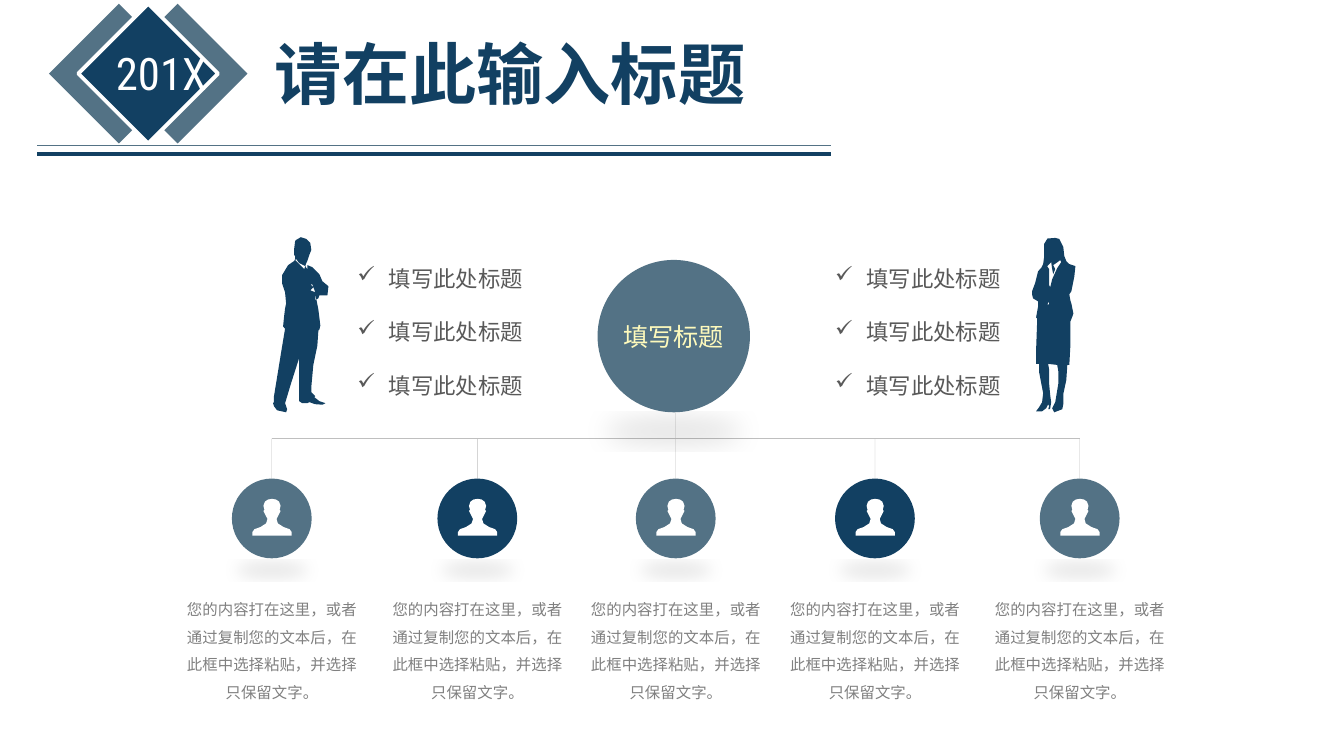
from dataclasses import dataclass

from lxml.etree import SubElement
from pptx import Presentation
from pptx.dml.color import RGBColor as RGB
from pptx.enum.shapes import MSO_CONNECTOR as CONN, MSO_SHAPE as SHAPE
from pptx.enum.text import MSO_ANCHOR as ANCHOR, MSO_AUTO_SIZE as FIT, PP_ALIGN as ALIGN
from pptx.oxml.ns import qn
from pptx.util import Cm, Pt


@dataclass(frozen=True)
class Theme:
    """Colours, fonts and type sizes of the slide."""
    navy: str = "124062"
    slate: str = "537285"
    white: str = "FFFFFF"
    cream: str = "FEFABC"
    rule: str = "BFBFBF"
    item: str = "595959"
    body: str = "808080"
    font: str = "Roboto Condensed"
    title_font: str = "Montserrat"
    title_size: int = 48
    year_size: int = 32
    hub_size: int = 18
    item_size: int = 16
    body_size: int = 11


T = Theme()
UNIT = 0.0254
BUS_Y = 11.05
CIRCLE_TOP = 12.06
CIRCLE_SIZE = 2.01
HUB_BOTTOM = 10.39
CENTRES = [6.85, 12.03, 17.03, 22.05, 27.21]
BODY = "您的内容打在这里，或者通过复制您的文本后，在此框中选择粘贴，并选择只保留文字。"

PERSON = [[
    (31, 28), (25.3, 24.4), (24, 20), (26, 16), (28, 12), (27, 11), (28, 7),
    (26.5, 2.8), (23.5, 0.7), (19.5, 0), (15.5, 0.7), (12.4, 2.8), (11, 7),
    (12, 11), (11, 12), (13, 16), (15, 20), (13.6, 24.4), (8, 28), (2.1, 30.1),
    (0, 33), (0, 36.5), (39, 36.5), (39, 33), (36.9, 30.1)]]

MAN = [
    [(55, 51), (49, 46), (46, 39), (39, 32), (34, 30), (34, 34), (32, 31),
     (31, 34), (22, 25), (23, 24), (26, 28), (32, 31), (33, 28), (34, 26),
     (36, 20), (38, 15), (37, 8), (33, 4), (27.6, 2.3), (23, 5), (22, 6),
     (21, 14), (21, 20), (22, 21), (22, 24), (21, 26), (15, 30), (9, 40),
     (9, 48), (12, 57), (13, 68), (12, 73), (11, 81), (10, 91), (12, 93),
     (8, 117), (1, 160), (1, 166), (0, 167), (1, 170), (4, 174), (13, 176),
     (14, 173), (12, 167), (18, 147), (26, 122), (26, 165), (29, 167),
     (34, 167), (36, 166), (42, 168), (49, 168.5), (52, 167), (46, 165),
     (41, 161), (42, 160), (38, 156), (38, 151), (40, 129), (44, 110),
     (45, 95), (46, 94), (47, 90), (45, 74), (43, 64), (45, 63), (46, 60),
     (54, 60)],
    [(37, 55), (40, 52), (37, 49), (39, 49), (42, 57)],
    [(42, 65), (42, 58), (43, 64)]]

WOMAN = [
    [(39, 56), (42, 41), (43, 31), (37, 29), (34, 26), (32, 21), (31, 12),
     (27, 4), (23, 3), (15.3, 3.6), (12, 9), (12, 22), (11, 29), (9, 33),
     (6, 36), (3, 48), (0, 56), (0, 59), (1, 63), (6, 66), (6, 71), (4, 82),
     (5, 83), (5, 88), (4, 115), (4, 128), (7, 128), (7, 136), (11, 157),
     (10, 166), (7, 171), (4, 175), (10, 175), (14, 172), (16, 168),
     (17, 170), (16, 173), (18, 173), (18, 172), (19, 166), (18, 159),
     (17, 148), (17, 134), (16, 128), (25, 129), (26, 135), (26, 148),
     (24, 160), (23, 166), (20, 172), (22, 176), (30, 173), (31, 168),
     (31, 158), (34, 144), (35, 129), (37, 129), (38, 110), (38, 86),
     (40, 81), (41, 78), (39, 68), (38, 65), (37, 59)],
    [(15, 69), (17, 66), (17, 69)],
    [(25, 33), (20, 44), (18, 52), (17, 50), (17, 34), (15, 31), (19, 27),
     (20, 34), (21, 39), (23, 34), (21, 30), (24, 28), (28, 25), (29, 27)]]


def write(tf, text, *, size, color, font=T.font, bold=None, align=None, spacing=None, bullet=None):
    """Write each line of text as a formatted paragraph."""
    for i, line in enumerate(text.split("\n")):
        p = tf.add_paragraph() if i else tf.paragraphs[0]
        p.alignment, p.line_spacing = align, spacing
        r = p.add_run()
        r.text = line
        r.font.size, r.font.name, r.font.bold = Pt(size), font, bold
        r.font.color.rgb = RGB.from_string(color)
        if bullet:
            pPr = p._p.get_or_add_pPr()
            pPr.set("marL", str(Cm(0.79)))
            pPr.set("indent", str(-Cm(0.79)))
            SubElement(pPr, qn("a:buChar")).set("char", bullet)


def add_text(s, x, y, w, h, text, wrap=False, **fmt):
    """Add a text box that grows with its text."""
    tf = s.shapes.add_textbox(Cm(x), Cm(y), Cm(w), Cm(h)).text_frame
    tf.word_wrap = wrap
    tf.auto_size = FIT.SHAPE_TO_FIT_TEXT
    write(tf, text, **fmt)


def paint(sp, fill):
    """Give a shape a flat fill with no line or shadow."""
    sp.shadow.inherit = False
    sp.fill.solid()
    sp.fill.fore_color.rgb = RGB.from_string(fill)
    sp.line.fill.background()


def add_line(s, x1, y1, x2, y2, color, width):
    """Add a straight line without a shadow."""
    ln = s.shapes.add_connector(CONN.STRAIGHT, Cm(x1), Cm(y1), Cm(x2), Cm(y2))
    ln.line.color.rgb = RGB.from_string(color)
    ln.line.width = Pt(width)
    SubElement(ln._element.spPr, qn("a:effectLst"))
    return ln


def add_diamond(s, x, fill, outline=None):
    """Add one of the badge's turned squares."""
    sp = s.shapes.add_shape(SHAPE.ROUNDED_RECTANGLE, Cm(x), Cm(0.61), Cm(2.49), Cm(2.49))
    sp.adjustments[0] = 0
    sp.rotation = 45
    paint(sp, fill)
    if outline:
        sp.line.color.rgb = RGB.from_string(outline)
        sp.line.width = Pt(2.75)


def add_circle(s, x, y, size, fill, blur):
    """Add a circle with a flattened shadow below it."""
    sp = s.shapes.add_shape(SHAPE.OVAL, Cm(x), Cm(y), Cm(size), Cm(size))
    paint(sp, fill)
    effects = sp._element.spPr.find(qn("a:effectLst"))
    shadow = SubElement(effects, qn("a:outerShdw"), blurRad=str(Pt(blur)), dist=str(Pt(3)),
                        dir="5400000", sx="90000", sy="-19000", rotWithShape="0")
    black = SubElement(shadow, qn("a:srgbClr"), val="000000")
    SubElement(black, qn("a:alpha"), val="10000")
    return sp


def add_outline(s, x, y, contours, fill):
    """Add a filled freeform made of closed contours."""
    scaled = [[(Cm(px * UNIT), Cm(py * UNIT)) for px, py in c] for c in contours]
    builder = s.shapes.build_freeform(*scaled[0][0])
    for i, points in enumerate(scaled):
        if i:
            builder.move_to(*points[0])
        builder.add_line_segments(points[1:], close=True)
    paint(builder.convert_to_shape(Cm(x), Cm(y)), fill)


def add_header(s):
    """Add the badge, the title and the two rules."""
    add_line(s, 20.93, 3.66, 0.94, 3.66, T.slate, 1)
    add_diamond(s, 3.23, T.slate)
    add_diamond(s, 1.75, T.slate)
    add_diamond(s, 2.49, T.navy, T.white)
    add_text(s, 2.67, 1.04, 2.95, 1.63, "201X", size=T.year_size, color=T.white)
    add_line(s, 20.93, 3.89, 0.94, 3.89, T.navy, 3)
    add_text(s, 6.68, 0.69, 12.55, 2.31, "请在此输入标题", size=T.title_size,
             color=T.navy, font=T.title_font, bold=True)


def add_hub(s):
    """Add the large labelled circle."""
    hub = add_circle(s, 15.06, 6.55, 3.84, T.slate, 19)
    tf = hub.text_frame
    tf.margin_left = tf.margin_right = tf.margin_top = tf.margin_bottom = 0
    tf.vertical_anchor = ANCHOR.MIDDLE
    write(tf, "填写标题", size=T.hub_size, color=T.cream, align=ALIGN.CENTER)


def main():
    """Build the slide and save it."""
    prs = Presentation()
    prs.slide_width, prs.slide_height = Cm(33.87), Cm(19.05)
    s = prs.slides.add_slide(prs.slide_layouts[6])
    add_header(s)
    middle = len(CENTRES) // 2
    stems = [add_line(s, x, HUB_BOTTOM if i == middle else BUS_Y, x, CIRCLE_TOP, T.rule, 0.25)
             for i, x in enumerate(CENTRES)]
    add_line(s, CENTRES[0], BUS_Y, CENTRES[-1], BUS_Y, T.rule, 1)
    add_hub(s)
    add_outline(s, 26.01, 5.92, WOMAN, T.navy)
    add_outline(s, 6.88, 5.92, MAN, T.navy)
    for x in (8.76, 20.8):
        add_text(s, x, 5.87, 4.72, 4.37, "\n".join(["填写此处标题"] * 3), size=T.item_size,
                 color=T.item, spacing=2.0, bullet="✓")
    for i, (x, stem) in enumerate(zip(CENTRES, stems)):
        circle = add_circle(s, x - CIRCLE_SIZE / 2, CIRCLE_TOP, CIRCLE_SIZE,
                            T.navy if i % 2 else T.slate, 12)
        stem.end_connect(circle, 0)
        add_outline(s, x - 0.49, 12.57, PERSON, T.white)
        add_text(s, x - 2.51, 14.76, 5.03, 3.07, BODY, wrap=True, size=T.body_size,
                 color=T.body, align=ALIGN.CENTER, spacing=1.5)
    prs.save("out.pptx")


if __name__ == "__main__":
    main()
